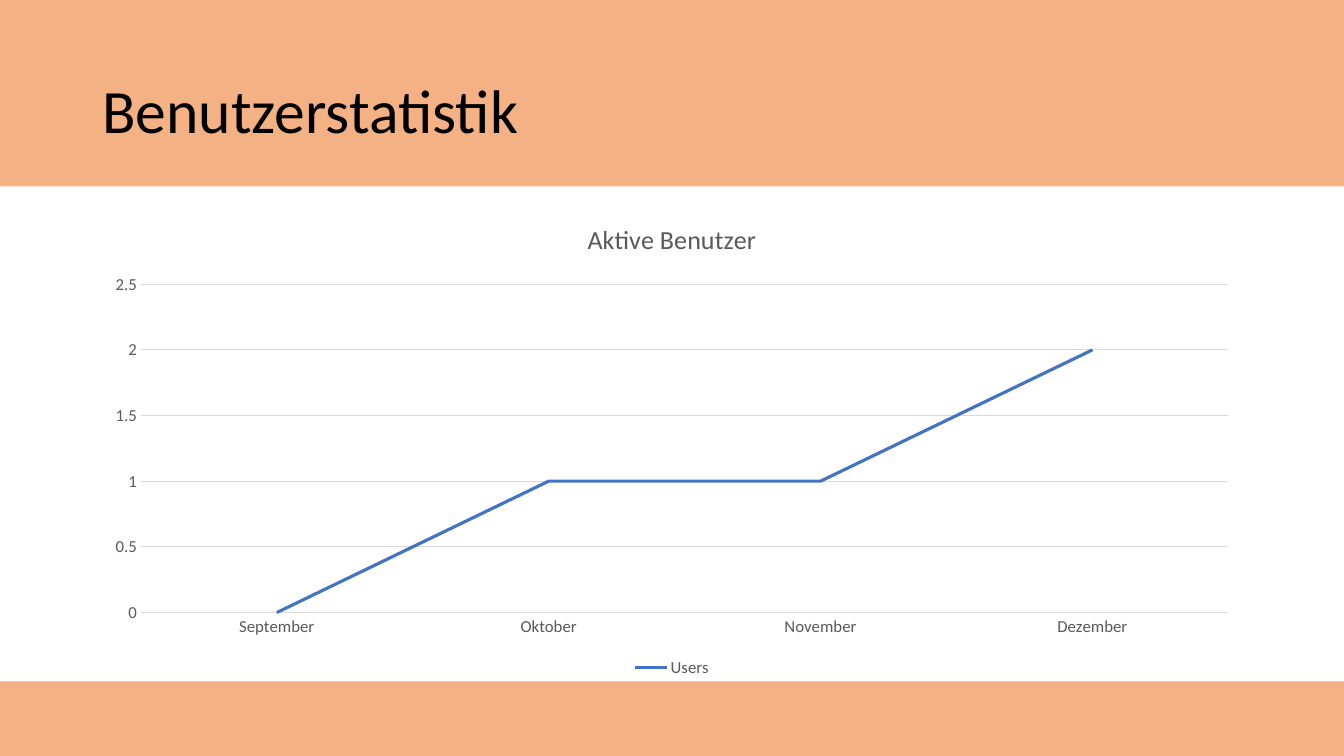
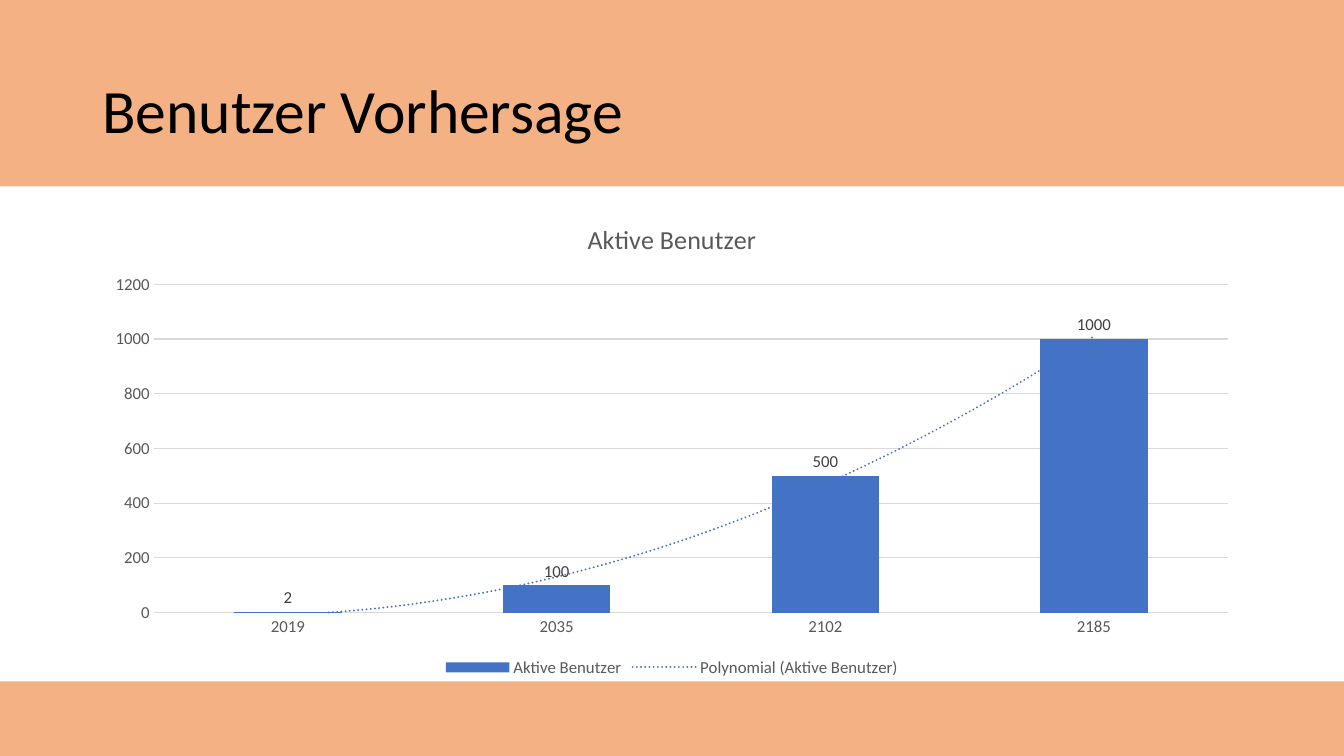
from dataclasses import dataclass

from lxml import etree
from pptx import Presentation
from pptx.chart.data import CategoryChartData
from pptx.dml.color import RGBColor
from pptx.enum.chart import XL_CHART_TYPE as ChartType
from pptx.enum.chart import XL_LABEL_POSITION as LabelPosition
from pptx.enum.chart import XL_LEGEND_POSITION as LegendPosition
from pptx.enum.chart import XL_TICK_MARK as TickMark
from pptx.enum.shapes import MSO_SHAPE as Preset
from pptx.enum.text import MSO_ANCHOR as Anchor
from pptx.enum.text import MSO_AUTO_SIZE as AutoSize
from pptx.enum.text import PP_ALIGN as Align
from pptx.oxml import parse_xml
from pptx.util import Cm, Pt

PAGES = [
    {
        "title": "Benutzerstatistik",
        "kind": "line",
        "chart_title": "Aktive Benutzer",
        "series": "Users",
        "values": {"September": 0, "Oktober": 1, "November": 1, "Dezember": 2},
    },
    {
        "title": "Benutzer Vorhersage",
        "kind": "column",
        "chart_title": "Aktive Benutzer",
        "series": "Aktive Benutzer",
        "values": {"2019": 2, "2035": 100, "2102": 500, "2185": 1000},
        "trend": "Polynomial (Aktive Benutzer)",
    },
]


@dataclass(frozen=True)
class Theme:
    """Colours, font and type sizes of the deck."""

    font: str = "Calibri"
    band: str = "F4B183"
    title: str = "000000"
    accent: str = "4472C4"
    grid: str = "D9D9D9"
    chart_text: str = "595959"
    label_text: str = "404040"
    title_size: float = 44
    chart_title_size: float = 18.6
    chart_size: float = 12


THEME = Theme()
WIDTH, HEIGHT = 33.87, 19.05
MARGIN = 2.33
INNER = WIDTH - 2 * MARGIN
HEADER, FOOTER = 4.7, 1.88
TITLE_TOP, CHART_TOP = 1.02, 5.08
BANDS = [(0, HEADER), (HEIGHT - FOOTER, FOOTER)]
KINDS = {"line": ChartType.LINE, "column": ChartType.COLUMN_CLUSTERED}

CHART_NS = "http://schemas.openxmlformats.org/drawingml/2006/chart"
DRAWING_NS = "http://schemas.openxmlformats.org/drawingml/2006/main"
TREND_XML = f"""
<c:trendline xmlns:c="{CHART_NS}" xmlns:a="{DRAWING_NS}">
  <c:name/>
  <c:spPr><a:ln w="{Pt(1.5)}" cap="rnd">
    <a:solidFill><a:srgbClr val="{THEME.accent}"/></a:solidFill>
    <a:prstDash val="sysDot"/>
  </a:ln></c:spPr>
  <c:trendlineType val="poly"/><c:order val="2"/>
  <c:dispRSqr val="0"/><c:dispEq val="0"/>
</c:trendline>"""


def apply(target, **values):
    """Set each given attribute on the target."""
    for name, value in values.items():
        setattr(target, name, value)


def style_font(font, size, color):
    """Give a font the deck's face, a size and a colour."""
    apply(font, name=THEME.font, size=Pt(size), bold=False)
    font.color.rgb = RGBColor.from_string(color)


def style_line(line, color, width):
    """Give a line a solid colour and a width in points."""
    line.color.rgb = RGBColor.from_string(color)
    line.width = Pt(width)


def place(left, top, width, height):
    """Turn a box in centimetres into named lengths."""
    box = {"left": left, "top": top, "width": width, "height": height}
    return {name: Cm(value) for name, value in box.items()}


def add_bands(deck, page):
    """Draw the bands and move them to the master, behind all pages."""
    tree = deck.slide_master.shapes._spTree
    for number, (top, height) in enumerate(BANDS):
        box = place(0, top, WIDTH, height)
        band = page.shapes.add_shape(Preset.RECTANGLE, *box.values())
        band.shadow.inherit = False
        band.fill.solid()
        band.fill.fore_color.rgb = RGBColor.from_string(THEME.band)
        band.line.fill.background()
        band._element.nvSpPr.cNvPr.set("id", str(100 + number))
        tree.insert(2 + number, band._element)


def add_title(page, text):
    """Fill and format the title placeholder."""
    title = page.shapes.title
    apply(title, **place(MARGIN, TITLE_TOP, INNER, HEADER - TITLE_TOP))
    frame = title.text_frame
    apply(frame, text=text, word_wrap=True, auto_size=AutoSize.NONE,
          vertical_anchor=Anchor.MIDDLE)
    para = frame.paragraphs[0]
    apply(para, alignment=Align.LEFT, line_spacing=0.9)
    style_font(para.runs[0].font, THEME.title_size, THEME.title)


def style_axes(chart):
    """Format both axes and the horizontal grid."""
    for axis in (chart.category_axis, chart.value_axis):
        apply(axis, major_tick_mark=TickMark.NONE,
              minor_tick_mark=TickMark.NONE)
        style_font(axis.tick_labels.font, THEME.chart_size, THEME.chart_text)
    style_line(chart.category_axis.format.line, THEME.grid, 0.75)
    chart.value_axis.format.line.fill.background()
    style_line(chart.value_axis.major_gridlines.format.line, THEME.grid, 0.75)


def style_columns(plot, series):
    """Format the columns and their value labels."""
    plot.gap_width = 150
    series.format.fill.solid()
    series.format.fill.fore_color.rgb = RGBColor.from_string(THEME.accent)
    labels = series.data_labels
    apply(labels, show_value=True, position=LabelPosition.OUTSIDE_END)
    style_font(labels.font, THEME.chart_size, THEME.label_text)


def add_trend(series, name):
    """Add a dotted quadratic trend line to a series."""
    trend = parse_xml(TREND_XML)
    trend.find(etree.QName(CHART_NS, "name")).text = name
    series._element.find(etree.QName(CHART_NS, "cat")).addprevious(trend)


def add_chart(page, content):
    """Add the page's chart between the bands."""
    data = CategoryChartData()
    data.categories = list(content["values"])
    data.add_series(content["series"], list(content["values"].values()))
    box = place(MARGIN, CHART_TOP, INNER, HEIGHT - FOOTER - CHART_TOP)
    chart = page.shapes.add_chart(
        KINDS[content["kind"]], *box.values(), data).chart
    style_font(chart.font, THEME.chart_size, THEME.chart_text)

    frame = chart.chart_title.text_frame
    frame.text = content["chart_title"]
    style_font(frame.paragraphs[0].runs[0].font,
               THEME.chart_title_size, THEME.chart_text)
    chart.has_legend = True
    apply(chart.legend, position=LegendPosition.BOTTOM,
          include_in_layout=False)
    style_font(chart.legend.font, THEME.chart_size, THEME.chart_text)
    style_axes(chart)

    plot = chart.plots[0]
    plot.vary_by_categories = False
    series = plot.series[0]
    if content["kind"] == "line":
        series.smooth = False
        style_line(series.format.line, THEME.accent, 2.25)
    else:
        style_columns(plot, series)
    if "trend" in content:
        add_trend(series, content["trend"])


def build():
    """Build and save the deck."""
    deck = Presentation()
    apply(deck, slide_width=Cm(WIDTH), slide_height=Cm(HEIGHT))
    layout = deck.slide_layouts.get_by_name("Title Only")
    for content in PAGES:
        page = deck.slides.add_slide(layout)
        add_title(page, content["title"])
        add_chart(page, content)
    add_bands(deck, deck.slides[0])
    deck.save("out.pptx")


build()
